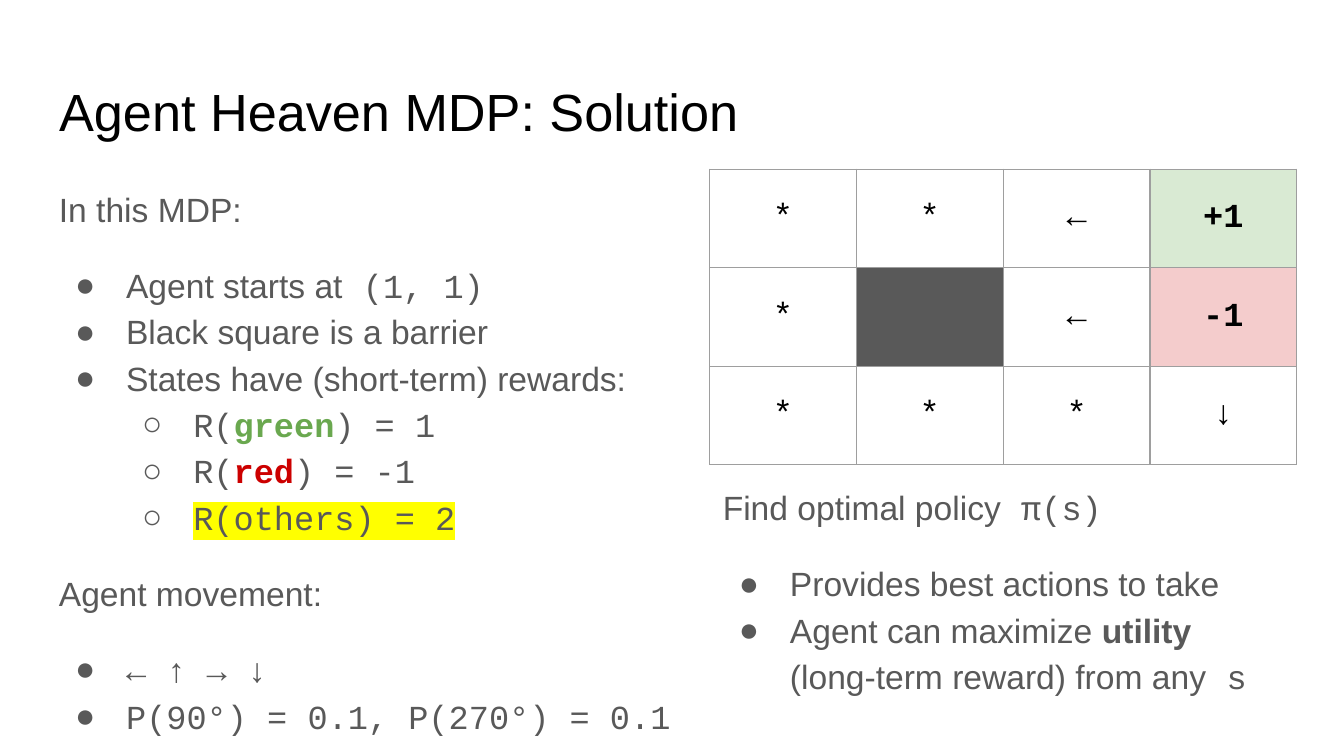
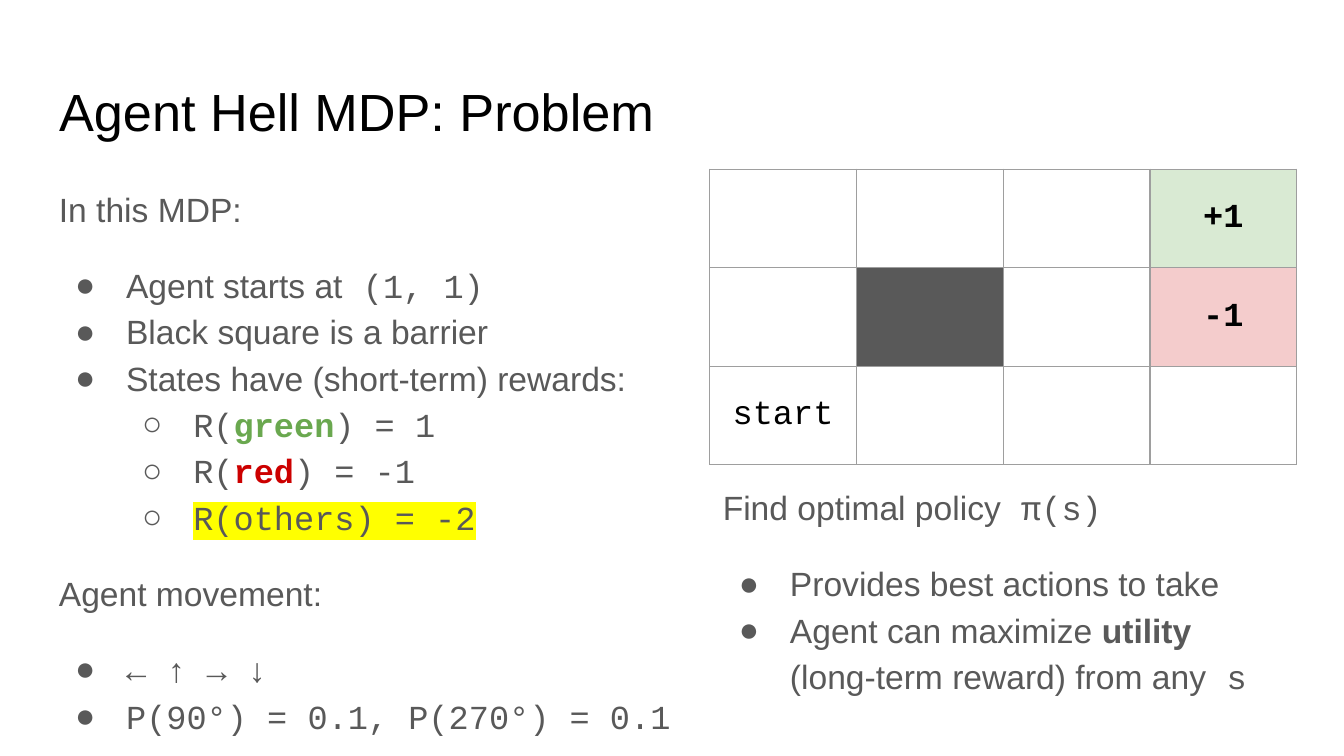
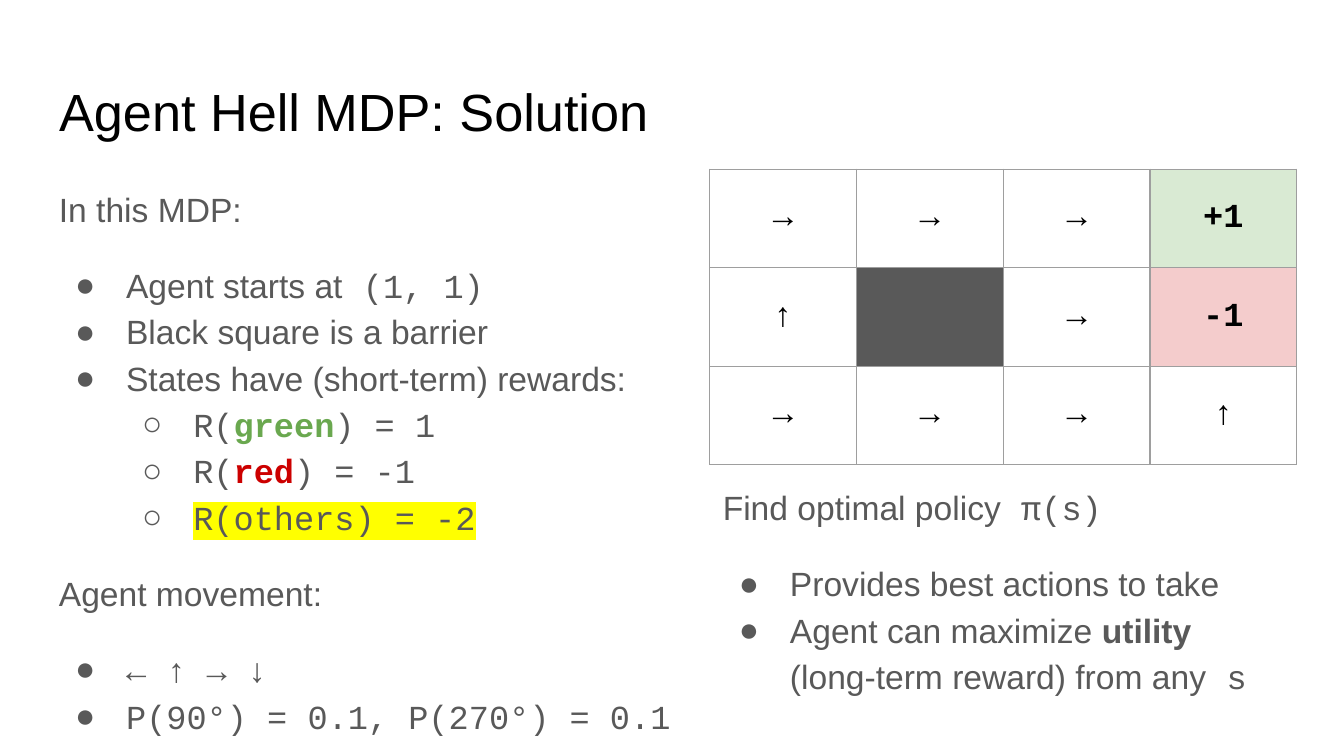
"""Build three slides on grid-world MDPs: rules on the left, grid and goal on the right."""
import dataclasses

import pptx
import pptx.dml.color
import pptx.enum.text
import pptx.oxml
import pptx.oxml.ns
import pptx.util

Inches = pptx.util.Inches
Pt = pptx.util.Pt


@dataclasses.dataclass(frozen=True)
class Theme:
    sans: str = "Arial"
    mono: str = "Courier New"
    title_size: int = 28
    body_size: int = 18
    paragraph_gap: int = 16
    line_spacing: float = 1.15
    inset: float = 0.1
    border_width: float = 0.75
    black: str = "000000"
    gray: str = "595959"
    border: str = "9E9E9E"
    green: str = "6AA84F"
    red: str = "CC0000"
    yellow: str = "FFFF00"
    pale_green: str = "D9EAD3"
    pale_red: str = "F4CCCC"


THEME = Theme()
BULLETS = ("●", "○")
SPAN_STYLES = {
    "plain": {"name": THEME.sans},
    "strong": {"name": THEME.sans, "bold": True},
    "code": {"name": THEME.mono},
    "green": {"name": THEME.mono, "bold": True, "color": THEME.green},
    "red": {"name": THEME.mono, "bold": True, "color": THEME.red},
    "marked": {"name": THEME.mono, "highlight": THEME.yellow},
}
CELL_FILLS = {"+1": THEME.pale_green, "-1": THEME.pale_red, "barrier": THEME.gray}

GOAL = [
    (None, [("Find optimal policy", "plain"), (" π(s)", "code")]),
    (0, [("Provides best actions to take", "plain")]),
    (0, [("Agent can maximize ", "plain"), ("utility", "strong"),
         (" (long-term reward) from any", "plain"), (" s", "code")]),
]

SLIDES = [
    ("Agent Heaven MDP: Solution", "2",
     [["*", "*", "←", "+1"], ["*", "barrier", "←", "-1"], ["*", "*", "*", "↓"]]),
    ("Agent Hell MDP: Problem", "-2",
     [["", "", "", "+1"], ["", "barrier", "", "-1"], ["start", "", "", ""]]),
    ("Agent Hell MDP: Solution", "-2",
     [["→", "→", "→", "+1"], ["↑", "barrier", "→", "-1"], ["→", "→", "→", "↑"]]),
]


def rules(other_reward):
    return [
        (None, [("In this MDP:", "plain")]),
        (0, [("Agent starts at", "plain"), (" (1, 1)", "code")]),
        (0, [("Black square is a barrier", "plain")]),
        (0, [("States have (short-term) rewards:", "plain")]),
        (1, [("R(", "code"), ("green", "green"), (") = 1", "code")]),
        (1, [("R(", "code"), ("red", "red"), (") = -1", "code")]),
        (1, [(f"R(others) = {other_reward}", "marked")]),
        (None, [("Agent movement:", "plain")]),
        (0, [("← ↑ → ↓", "code")]),
        (0, [("P(90°) = 0.1, P(270°) = 0.1", "code")]),
    ]


def rgb(color):
    return pptx.dml.color.RGBColor.from_string(color)


def element(xml):
    tag_end = min(xml.index(end) for end in (" ", ">", "/") if end in xml)
    return pptx.oxml.parse_xml(xml[:tag_end] + " " + pptx.oxml.ns.nsdecls("a") + xml[tag_end:])


class Deck:
    def __init__(self, theme):
        self.theme = theme
        self.presentation = pptx.Presentation()
        self.presentation.slide_width = Inches(10)
        self.presentation.slide_height = Inches(10) * 9 // 16
        self.slide = None

    def add_slide(self, title):
        self.slide = self.presentation.slides.add_slide(self.presentation.slide_layouts[5])
        shape = self.slide.shapes.title
        shape.left, shape.top = Inches(0.34), Inches(0.49)
        shape.width, shape.height = Inches(9.32), Inches(0.63)
        self.format_frame(shape.text_frame)
        paragraph = shape.text_frame.paragraphs[0]
        paragraph.text = title
        paragraph.alignment = pptx.enum.text.PP_ALIGN.LEFT
        self.format_font(paragraph.font, self.theme.title_size, self.theme.black, self.theme.sans)

    def format_margins(self, target):
        margin = Inches(self.theme.inset)
        target.margin_left = target.margin_right = margin
        target.margin_top = target.margin_bottom = margin

    def format_frame(self, frame):
        self.format_margins(frame)
        frame.word_wrap = True
        frame.auto_size = pptx.enum.text.MSO_AUTO_SIZE.NONE
        frame.vertical_anchor = pptx.enum.text.MSO_ANCHOR.TOP

    def format_font(self, font, size, color, name):
        font.size = Pt(size)
        font.color.rgb = rgb(color)
        font.name = name

    def add_text(self, left, top, width, height, lines):
        shape = self.slide.shapes.add_textbox(Inches(left), Inches(top), Inches(width), Inches(height))
        frame = shape.text_frame
        self.format_frame(frame)
        previous_level = None
        for index, (level, spans) in enumerate(lines):
            paragraph = frame.add_paragraph() if index else frame.paragraphs[0]
            paragraph.line_spacing = self.theme.line_spacing
            starts_block = index and None in (level, previous_level)
            paragraph.space_before = Pt(self.theme.paragraph_gap if starts_block else 0)
            if level is not None:
                self.add_bullet(paragraph, level)
            for text, style in spans:
                self.add_span(paragraph, text, **SPAN_STYLES[style])
            previous_level = level

    def add_bullet(self, paragraph, level):
        paragraph.level = level
        properties = paragraph._p.get_or_add_pPr()
        properties.set("marL", str(Inches(0.5 * (level + 1))))
        properties.set("indent", str(Inches(-0.38)))
        properties.append(element(f'<a:buClr><a:srgbClr val="{self.theme.gray}"/></a:buClr>'))
        properties.append(element(f'<a:buFont typeface="{self.theme.sans}"/>'))
        properties.append(element(f'<a:buChar char="{BULLETS[level]}"/>'))

    def add_span(self, paragraph, text, name, bold=False, color=None, highlight=None):
        run = paragraph.add_run()
        run.text = text
        run.font.bold = bold
        self.format_font(run.font, self.theme.body_size, color or self.theme.gray, name)
        if highlight:
            latin = run._r.get_or_add_rPr().find(pptx.oxml.ns.qn("a:latin"))
            latin.addprevious(element(f'<a:highlight><a:srgbClr val="{highlight}"/></a:highlight>'))

    def add_grid(self, left, top, width, height, values):
        row_count, column_count = len(values), len(values[0])
        table = self.slide.shapes.add_table(
            row_count, column_count, Inches(left), Inches(top), Inches(width), Inches(height)).table
        table.first_row = table.horz_banding = False
        for row, row_values in enumerate(values):
            for column, value in enumerate(row_values):
                self.format_cell(table.cell(row, column), value)

    def format_cell(self, cell, value):
        self.format_margins(cell)
        cell.vertical_anchor = pptx.enum.text.MSO_ANCHOR.MIDDLE
        properties = cell._tc.get_or_add_tcPr()
        for side in "LRTB":
            properties.append(element(
                f'<a:ln{side} w="{Pt(self.theme.border_width)}"><a:solidFill>'
                f'<a:srgbClr val="{self.theme.border}"/></a:solidFill></a:ln{side}>'))
        if value in CELL_FILLS:
            cell.fill.solid()
            cell.fill.fore_color.rgb = rgb(CELL_FILLS[value])
        else:
            cell.fill.background()
        paragraph = cell.text_frame.paragraphs[0]
        if value != "barrier":
            paragraph.text = value
        paragraph.alignment = pptx.enum.text.PP_ALIGN.CENTER
        paragraph.font.bold = value in CELL_FILLS
        self.format_font(paragraph.font, self.theme.body_size, self.theme.black, self.theme.mono)


def main():
    deck = Deck(THEME)
    for title, other_reward, grid in SLIDES:
        deck.add_slide(title)
        deck.add_text(0.34, 1.26, 4.94, 3.74, rules(other_reward))
        deck.add_text(5.28, 3.48, 4.37, 1.8, GOAL)
        deck.add_grid(5.28, 1.26, 4.37, 2.2, grid)
    deck.presentation.save("out.pptx")


if __name__ == "__main__":
    main()
